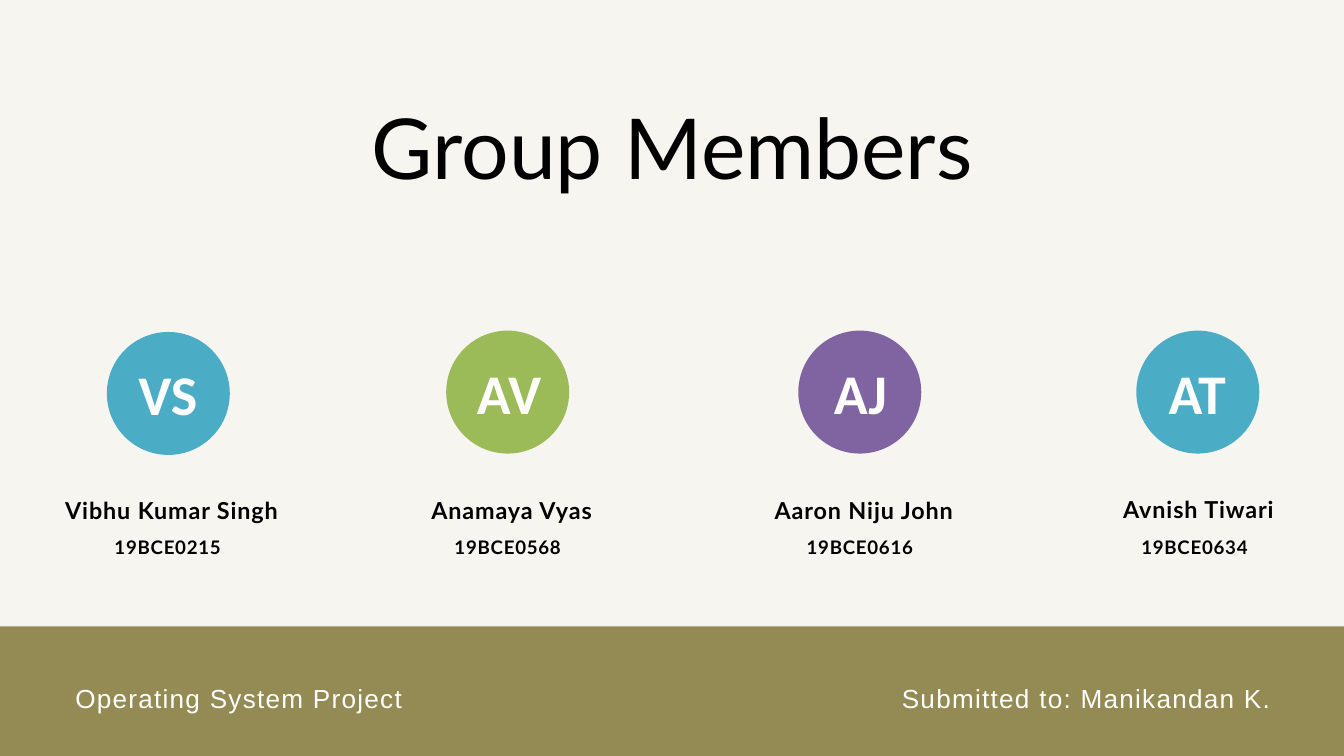
from pptx import Presentation
from pptx import util as u
from pptx.dml.color import RGBColor
from pptx.enum import shapes, text

COLORS = {
    "paper": "F6F5F0", "ink": "000000", "white": "FFFFFF", "olive": "948A54",
    "blue": "4BACC6", "green": "9BBB59", "purple": "8064A2",
}
TITLE = "Group Members"
# initials, name, number, colour, circle (left, top), initials (left, width), name (left, top)
MEMBERS = [
    ("VS", "Vibhu Kumar Singh", "19BCE0215", "blue", (1.59, 4.94), (1.96, 1.08), (0.89, 7.35)),
    ("AV", "Anamaya Vyas", "19BCE0568", "green", (6.64, 4.92), (7.00, 1.17), (5.95, 7.35)),
    ("AJ", "Aaron Niju John", "19BCE0616", "purple", (11.88, 4.92), (12.31, 1.08), (11.19, 7.35)),
    ("AT", "Avnish Tiwari", "19BCE0634", "blue", (16.91, 4.92), (17.29, 1.08), (16.17, 7.34)),
]
FOOTER = [(1.12, "Operating System Project"), (13.42, "Submitted to: Manikandan K.")]
CIRCLE = 1.83


def color(name):
    return RGBColor.from_string(COLORS[name])


def add_filled(page, kind, bounds, fill):
    shape = page.shapes.add_shape(kind, *map(u.Inches, bounds))
    shape.fill.solid()
    shape.fill.fore_color.rgb = color(fill)
    shape.line.fill.background()
    shape.shadow.inherit = False


def write(box, words, *, size, font="Lato", fill="ink", bold=False, spacing=0,
          leading=None, align=text.PP_ALIGN.CENTER, inset=0, wrap=True):
    """Fill a box with one formatted line; spacing and leading are in points."""
    frame = box.text_frame
    frame.margin_left = frame.margin_right = u.Inches(inset)
    frame.margin_top = frame.margin_bottom = u.Inches(inset / 2)
    frame.vertical_anchor = text.MSO_ANCHOR.TOP
    frame.word_wrap = wrap
    frame.auto_size = text.MSO_AUTO_SIZE.SHAPE_TO_FIT_TEXT
    para = frame.paragraphs[0]
    para.alignment = align
    para.space_before = u.Pt(0)
    if leading:
        para.line_spacing = u.Pt(leading)
    span = para.add_run()
    span.text = words
    span.font.name, span.font.size, span.font.bold = font, u.Pt(size), bold
    span.font.color.rgb = color(fill)
    if spacing:
        span.font._element.set("spc", str(round(spacing * 100)))


def add_text(page, bounds, words, **style):
    write(page.shapes.add_textbox(*map(u.Inches, bounds)), words, **style)


def add_member(page, initials, name, number, fill, circle, letters, label):
    add_filled(page, shapes.MSO_SHAPE.OVAL, (*circle, CIRCLE, CIRCLE), fill)
    add_text(page, (letters[0], circle[1] + 0.36, letters[1], 1.11), initials,
             size=60, font="Calibri", fill="white", bold=True, inset=0.1,
             align=text.PP_ALIGN.LEFT, wrap=False)
    left, top = label
    add_text(page, (left, top, 3.33, 0.43), name,
             size=25, bold=True, spacing=1, leading=32.5)
    add_text(page, (left + 0.2, top + 0.6, 2.81, 0.34), number,
             size=20, bold=True, spacing=0.8, leading=26)


def main():
    deck = Presentation()
    deck.slide_width, deck.slide_height = u.Inches(20), u.Inches(11.25)
    page = deck.slides.add_slide(deck.slide_layouts[5])
    page.background.fill.solid()
    page.background.fill.fore_color.rgb = color("paper")

    title = page.shapes.title
    title.left, title.top, title.width, title.height = map(u.Inches, (5.45, 1.54, 9.11, 1.42))
    write(title, TITLE, size=90, leading=99)

    for member in MEMBERS:
        add_member(page, *member)

    add_filled(page, shapes.MSO_SHAPE.RECTANGLE, (-0.74, 9.32, 21.6, 2.52), "olive")
    for left, words in FOOTER:
        add_text(page, (left, 10.08, 8.61, 0.51), words, size=28, font="Arial",
                 fill="white", spacing=1.4, leading=39.2, align=text.PP_ALIGN.LEFT)
    deck.save("out.pptx")


if __name__ == "__main__":
    main()
